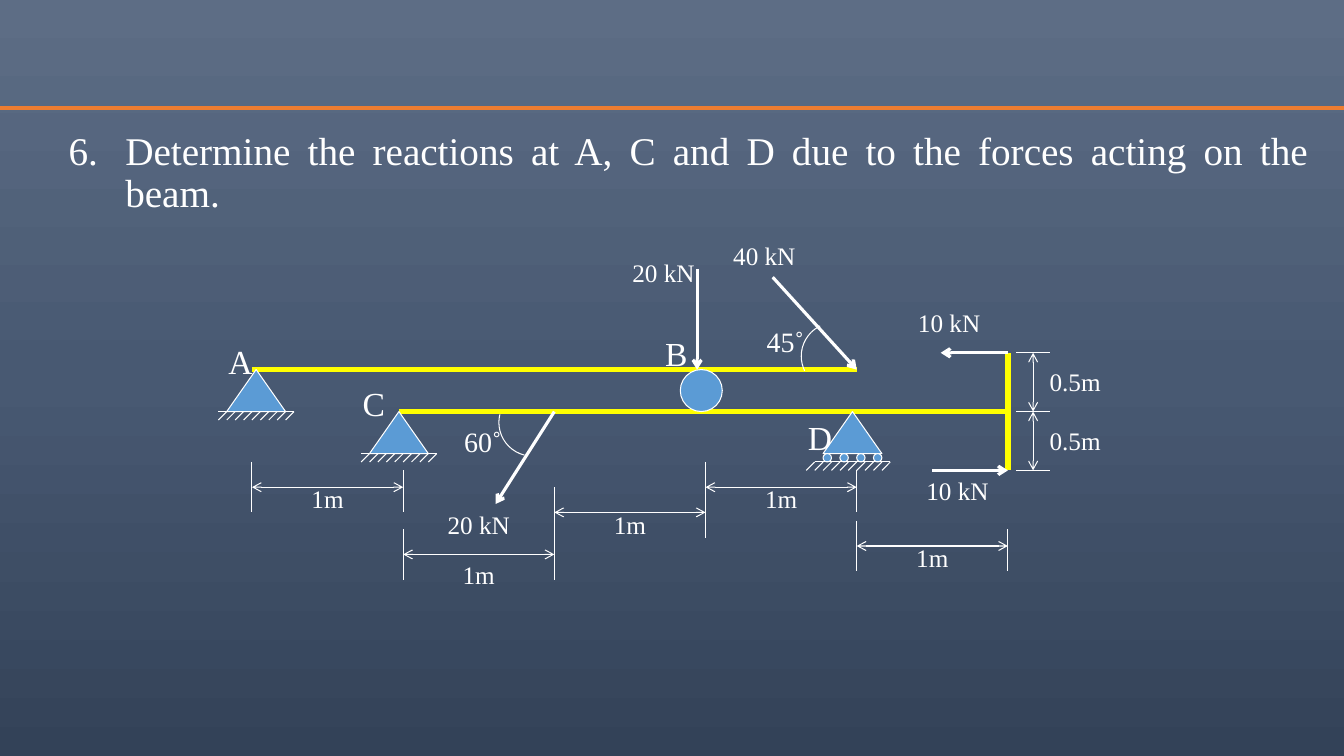
from copy import deepcopy
from dataclasses import dataclass

from lxml.etree import SubElement
from pptx import Presentation
from pptx.dml.color import RGBColor
from pptx.enum.shapes import MSO_CONNECTOR, MSO_SHAPE
from pptx.enum.text import MSO_AUTO_SIZE, PP_ALIGN
from pptx.oxml.ns import qn
from pptx.shapes.autoshape import Shape
from pptx.shapes.connector import Connector
from pptx.slide import Slide
from pptx.util import Cm, Length, Pt

WHITE = RGBColor(0xFF, 0xFF, 0xFF)
YELLOW = RGBColor(0xFF, 0xFF, 0x00)
BLUE = RGBColor(0x5B, 0x9B, 0xD5)
ORANGE = RGBColor(0xED, 0x7D, 0x31)
BACKGROUND = [
    (0, RGBColor(0x5D, 0x6D, 0x85)),
    (0.5, RGBColor(0x48, 0x59, 0x72)),
    (1, RGBColor(0x33, 0x42, 0x58)),
]
FONT = "Times New Roman"
QUESTION = "Determine the reactions at A, C and D due to the forces acting on the beam."
CELL_CM = 2.54 / 12  # the diagram lies on a grid where 1 m is 18 cells
METRE = 18
THIN, FORCE_WIDTH, BEAM_WIDTH = 0.75, 2.25, 4

Point = tuple[float, float]


@dataclass(frozen=True)
class Support:
    left: float
    top: float
    rollers: int = 0


@dataclass(frozen=True)
class Force:
    start: Point
    end: Point


@dataclass(frozen=True)
class Span:
    left: float
    level: float
    label_shift: float = -1


@dataclass(frozen=True)
class AngleArc:
    centre: Point
    start: float
    end: float


@dataclass(frozen=True)
class Label:
    text: str
    left: float
    top: float
    width: float
    size: int = 18


BEAMS = [((30, 44), (102, 44)), ((47.5, 49), (120, 49)), ((120, 42), (120, 56))]
SUPPORTS = [Support(27, 44), Support(44, 49), Support(98, 49, rollers=4)]
FORCES = [
    Force((92, 33), (102, 44)),
    Force((83, 32), (83, 44)),
    Force((66, 49), (59, 60)),
    Force((120, 42), (112, 42)),
    Force((111, 56), (120, 56)),
]
SPANS = [Span(30, 58), Span(48, 66, 0), Span(66, 61), Span(84, 58), Span(102, 65)]
END_LEVELS = [42, 49, 56]
ANGLE_ARCS = [AngleArc((99.4, 42.4), 154, 244), AngleArc((63.4, 50.3), 104, 194)]
LABELS = [
    Label("A", 26, 40, 4, 24),
    Label("B", 78, 39, 4, 24),
    Label("C", 42, 45, 4, 24),
    Label("D", 95, 49, 4, 24),
    Label("40 kN", 86, 28, 10),
    Label("20 kN", 74, 30, 10),
    Label("20 kN", 52, 60, 10),
    Label("10 kN", 108, 36, 10),
    Label("10 kN", 109, 56, 10),
    Label("60˚", 54, 50, 7, 20),
    Label("45˚", 89, 38, 9, 20),
]


def cells(count: float) -> Length:
    return Cm(count * CELL_CM)


def paint_background(slide: Slide) -> None:
    fill = slide.background.fill
    fill.gradient()
    fill.gradient_angle = 270
    stop_list = slide.element.find(".//" + qn("a:gsLst"))
    stop_list.append(deepcopy(stop_list[-1]))
    for stop, (position, color) in zip(fill.gradient_stops, BACKGROUND):
        stop.position = position
        stop.color.rgb = color


def add_line(slide: Slide, start: Point, end: Point, width: float = THIN,
             color: RGBColor = WHITE, arrows: tuple[str, ...] = ()) -> Connector:
    """Draw a line in grid cells; arrows names the ends, headEnd before tailEnd."""
    ends = [cells(value) for value in (*start, *end)]
    line = slide.shapes.add_connector(MSO_CONNECTOR.STRAIGHT, *ends)
    line.line.color.rgb = color
    line.line.width = Pt(width)
    outline = line.line._get_or_add_ln()
    for arrow in arrows:
        SubElement(outline, qn(f"a:{arrow}"), type="arrow")
    SubElement(line._element.spPr, qn("a:effectLst"))
    return line


def add_outlined(slide: Slide, preset: MSO_SHAPE, left: float, top: float,
                 width: float, height: float, filled: bool = True) -> Shape:
    part = slide.shapes.add_shape(
        preset, cells(left), cells(top), cells(width), cells(height))
    part.shadow.inherit = False
    if filled:
        part.fill.solid()
        part.fill.fore_color.rgb = BLUE
    else:
        part.fill.background()
    part.line.color.rgb = WHITE
    part.line.width = Pt(THIN)
    return part


def add_label(slide: Slide, label: Label) -> None:
    height = Pt(label.size * 1.2) + Cm(0.25)
    box = slide.shapes.add_textbox(
        cells(label.left), cells(label.top), cells(label.width), height)
    frame = box.text_frame
    frame.word_wrap = True
    frame.auto_size = MSO_AUTO_SIZE.SHAPE_TO_FIT_TEXT
    paragraph = frame.paragraphs[0]
    paragraph.alignment = PP_ALIGN.CENTER
    add_run(paragraph, label.text, label.size)


def add_run(paragraph, text: str, size: int) -> None:
    run = paragraph.add_run()
    run.text = text
    run.font.name = FONT
    run.font.size = Pt(size)
    run.font.color.rgb = WHITE


def add_question(slide: Slide) -> None:
    box = slide.shapes.add_textbox(Cm(1.48), Cm(3.18), Cm(31.75), Cm(2.75))
    box.text_frame.word_wrap = True
    paragraph = box.text_frame.paragraphs[0]
    paragraph.alignment = PP_ALIGN.JUSTIFY
    paragraph.line_spacing = 0.9
    properties = paragraph._p.get_or_add_pPr()
    properties.set("marL", str(Cm(1.43)))
    properties.set("indent", str(-Cm(1.43)))
    SubElement(properties, qn("a:buFont"), typeface="+mj-lt")
    SubElement(properties, qn("a:buAutoNum"), type="arabicPeriod", startAt="6")
    add_run(paragraph, QUESTION, 28)


def add_support(slide: Slide, support: Support) -> None:
    """Draw a triangle, its rollers if any, and the hatched ground."""
    left, ground = support.left, support.top + 5
    add_outlined(slide, MSO_SHAPE.ISOSCELES_TRIANGLE, left, support.top, 7, 5)
    for roller in range(support.rollers):
        add_outlined(slide, MSO_SHAPE.OVAL, left + 2 * roller, ground, 1, 1)
    if support.rollers:
        ground += 1
    add_line(slide, (left - 1, ground), (left + 8, ground))
    first_hatch = left - 1 if support.rollers else left
    for x in range(first_hatch, left + 9):
        add_line(slide, (x, ground), (x - 1, ground + 1))


def add_dimension(slide: Slide, start: Point, end: Point) -> None:
    add_line(slide, start, end, arrows=("headEnd", "tailEnd"))


def add_span(slide: Slide, span: Span) -> None:
    left, right, level = span.left, span.left + METRE, span.level
    add_line(slide, (left, level - 3), (left, level + 3))
    add_line(slide, (right, level - 2), (right, level + 3))
    add_dimension(slide, (left, level), (right, level))
    add_label(slide, Label("1m", left + 5, level + span.label_shift, 8))


def add_end_heights(slide: Slide) -> None:
    for level in END_LEVELS:
        add_line(slide, (121, level), (125, level))
    for upper, lower in zip(END_LEVELS, END_LEVELS[1:]):
        add_dimension(slide, (123, upper), (123, lower))
        add_label(slide, Label("0.5m", 123, upper + 1, 10))


def add_angle_arc(slide: Slide, angle: AngleArc) -> None:
    x, y = angle.centre
    arc = add_outlined(slide, MSO_SHAPE.ARC, x - 4, y - 4, 8, 8, filled=False)
    for index, degrees in enumerate((angle.start, angle.end)):
        arc.adjustments[index] = degrees * 0.6  # 60000ths of a degree / 100000


def main() -> None:
    presentation = Presentation()
    presentation.slide_width, presentation.slide_height = Cm(33.87), Cm(19.05)
    slide = presentation.slides.add_slide(presentation.slide_layouts[6])
    paint_background(slide)
    add_line(slide, (0, 12.86), (160, 12.86), 2.25, ORANGE)
    add_question(slide)
    for start, end in BEAMS:
        add_line(slide, start, end, BEAM_WIDTH, YELLOW)
    for support in SUPPORTS:
        add_support(slide, support)
    add_outlined(slide, MSO_SHAPE.OVAL, 81, 44, 5, 5)
    for force in FORCES:
        add_line(slide, force.start, force.end, FORCE_WIDTH, arrows=("tailEnd",))
    for angle in ANGLE_ARCS:
        add_angle_arc(slide, angle)
    for span in SPANS:
        add_span(slide, span)
    add_end_heights(slide)
    for label in LABELS:
        add_label(slide, label)
    presentation.save("out.pptx")


if __name__ == "__main__":
    main()
